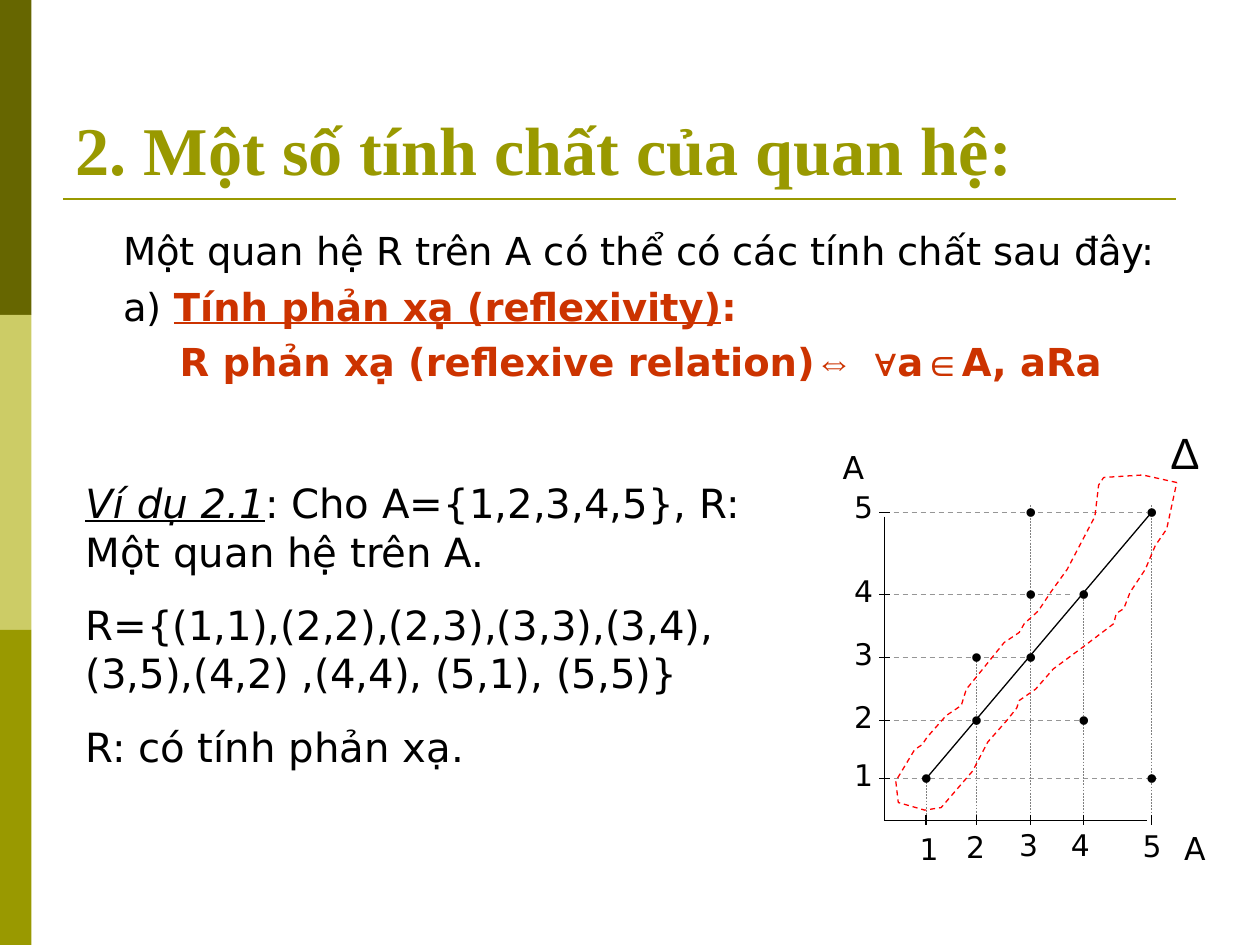
"""Build the slide on reflexive relations with its grid diagram."""
from typing import Any, NamedTuple

from lxml import etree
from pptx import Presentation
from pptx import util as u
from pptx.dml.color import RGBColor
from pptx.enum import dml, shapes, text
from pptx.oxml import ns

COLORS = {"olive": "999900", "dark": "666600", "pale": "CCCC66", "ink": "000000",
          "accent": "CC3300", "row": "969696", "column": "808080", "loop": "FF0000"}
SANS, SYMBOL, SERIF = "DejaVu Sans", "Arial", "Times New Roman"
AXIS_X, AXIS_Y = 7.02, 6.51


class Span(NamedTuple):
    words: str
    font: dict[str, Any] = {}


class Para(NamedTuple):
    spans: list[Span]
    layout: dict[str, Any] = {}
    left: float = 0
    indent: float = 0


class Column(NamedTuple):
    x: float
    guide_top: float
    label_left: float
    label_top: float


class Row(NamedTuple):
    y: float
    guide_right: float
    label_top: float


COLUMNS = [Column(7.35, 6.18, 7.2, 6.54), Column(7.75, 5.22, 7.57, 6.53),
           Column(8.18, 4.01, 7.99, 6.51), Column(8.6, 4.68, 8.4, 6.51),
           Column(9.14, 4.01, 8.97, 6.52)]
ROWS = [Row(6.18, 9.18, 5.96), Row(5.72, 8.6, 5.5), Row(5.22, 8.18, 5),
        Row(4.72, 8.52, 4.5), Row(4.07, 9.1, 3.83)]
RELATION = [(1, 1), (2, 2), (2, 3), (3, 3), (3, 4), (3, 5), (4, 2), (4, 4), (5, 1), (5, 5)]
LOOP = [(9.34, 3.83), (9.07, 3.77), (8.76, 3.79), (8.72, 3.85), (8.69, 4.1), (8.47, 4.52),
        (8.34, 4.7), (8.24, 4.85), (8.13, 4.95), (8.09, 5.02), (7.97, 5.1), (7.72, 5.41),
        (7.67, 5.47), (7.63, 5.6), (7.51, 5.68), (7.36, 5.85), (7.32, 5.91), (7.26, 5.95),
        (7.11, 6.2), (7.13, 6.37), (7.34, 6.43), (7.47, 6.41), (7.72, 6.12), (7.84, 5.89),
        (7.99, 5.72), (8.07, 5.62), (8.09, 5.56), (8.22, 5.47), (8.36, 5.31), (8.59, 5.14),
        (8.84, 4.95), (8.86, 4.87), (8.92, 4.83), (8.97, 4.7), (9.09, 4.52), (9.17, 4.33),
        (9.26, 4.2)]


def rgb(name: str) -> RGBColor:
    """Return a named palette colour."""
    return RGBColor.from_string(COLORS[name])


def apply(target: Any, values: dict[str, Any]) -> None:
    """Set every attribute given in values."""
    for name, value in values.items():
        setattr(target, name, value)


def fill_text(frame: Any, paras: list[Para], base: dict[str, Any], color: str = "ink") -> None:
    """Write formatted paragraphs into a text frame."""
    for index, item in enumerate(paras):
        para = frame.paragraphs[0] if index == 0 else frame.add_paragraph()
        apply(para, item.layout)
        properties = para._p.get_or_add_pPr()
        properties.set("marL", str(u.Inches(item.left)))
        properties.set("indent", str(u.Inches(item.indent)))
        for part in item.spans:
            span = para.add_run()
            span.text = part.words
            font = {**base, **part.font}
            span.font.color.rgb = rgb(font.pop("tint", color))
            apply(span.font, font)


def add_text(page: Any, left: float, top: float, width: float, height: float,
             paras: list[Para], base: dict[str, Any], wrap: bool = True) -> None:
    """Add a text box holding the paragraphs."""
    box = page.shapes.add_textbox(*map(u.Inches, (left, top, width, height)))
    fit = text.MSO_AUTO_SIZE.NONE if wrap else text.MSO_AUTO_SIZE.SHAPE_TO_FIT_TEXT
    apply(box.text_frame, {"word_wrap": wrap, "auto_size": fit})
    fill_text(box.text_frame, paras, base)


def add_label(page: Any, left: float, top: float, words: str, size: float = 17,
              name: str = SANS, width: float = 0.33, height: float = 0.39) -> None:
    """Add a short unwrapped label of the diagram."""
    add_text(page, left, top, width, height, [Para([Span(words)])],
             {"size": u.Pt(size), "name": name}, wrap=False)


def add_line(page: Any, start: tuple[float, float], end: tuple[float, float],
             color: str = "ink", width: float = 0.75, dashed: bool = False) -> None:
    """Add a straight line without a shadow."""
    line = page.shapes.add_connector(shapes.MSO_CONNECTOR.STRAIGHT,
                                     *map(u.Inches, (*start, *end)))
    line.line.color.rgb = rgb(color)
    line.line.width = u.Pt(width)
    if dashed:
        line.line.dash_style = dml.MSO_LINE.DASH
    etree.SubElement(line._element.spPr, ns.qn("a:effectLst"))


def add_loop(page: Any) -> None:
    """Add the dashed outline around the diagonal."""
    first, *rest = [tuple(map(u.Inches, point)) for point in LOOP]
    builder = page.shapes.build_freeform(*first)
    builder.add_line_segments(rest, close=True)
    loop = builder.convert_to_shape()
    loop.shadow.inherit = False
    loop.fill.background()
    loop.line.color.rgb = rgb("loop")
    apply(loop.line, {"width": u.Pt(0.75), "dash_style": dml.MSO_LINE.DASH})


def add_frame(page: Any) -> None:
    """Add the side bars, the rule and the title."""
    for index, color in enumerate(("dark", "pale", "olive")):
        bar = page.shapes.add_shape(shapes.MSO_SHAPE.RECTANGLE, 0, u.Inches(2.5 * index),
                                    u.Inches(0.25), u.Inches(2.5))
        bar.shadow.inherit = False
        bar.fill.solid()
        bar.fill.fore_color.rgb = rgb(color)
        bar.line.fill.background()
    add_line(page, (0.5, 1.58), (9.33, 1.58), "olive", 1.5)
    title = page.shapes.title
    apply(title, {"left": u.Inches(0.5), "top": u.Inches(0.3),
                  "width": u.Inches(9), "height": u.Inches(1.25)})
    apply(title.text_frame, {"vertical_anchor": text.MSO_ANCHOR.BOTTOM, "word_wrap": True,
                             "auto_size": text.MSO_AUTO_SIZE.NONE})
    fill_text(title.text_frame,
              [Para([Span("2. Một số tính chất của quan hệ:")],
                    {"alignment": text.PP_ALIGN.LEFT})],
              {"size": u.Pt(39), "name": SERIF, "bold": True}, "olive")


def add_body(page: Any) -> None:
    """Add the definition and the worked example."""
    strong = {"bold": True, "tint": "accent"}
    symbol = {**strong, "name": SYMBOL}
    gap = {"space_before": u.Pt(5.5)}
    add_text(page, 0.5, 1.75, 9.17, 1.58, [
        Para([Span("Một quan hệ R trên A có thể có các tính chất sau đây:")], gap, 0.38),
        Para([Span("a) "), Span("Tính phản xạ (reflexivity)", {**strong, "underline": True}),
              Span(":", strong)], gap, 0.38),
        Para([Span("R phản xạ (reflexive relation)", strong), Span("⇔  ∀", symbol),
              Span("a", strong), Span("∈", symbol), Span("A, aRa", strong)],
             {**gap, "alignment": text.PP_ALIGN.CENTER}, 0.38, -0.38),
    ], {"size": u.Pt(22), "name": SANS})
    gap = {"space_before": u.Pt(14.4)}
    add_text(page, 0.58, 3.75, 6, 2.42, [
        Para([Span("Ví dụ 2.1", {"italic": True, "underline": True}),
              Span(": Cho A={1,2,3,4,5}, R: Một quan hệ trên A.")], gap),
        Para([Span("R={(1,1),(2,2),(2,3),(3,3),(3,4), (3,5),(4,2) ,(4,4), (5,1), (5,5)}")], gap),
        Para([Span("R: có tính phản xạ.")], gap),
    ], {"size": u.Pt(23), "name": SANS})


def add_diagram(page: Any) -> None:
    """Add the axes, guides, points and diagonal of the relation."""
    add_line(page, (AXIS_X, 4.1), (AXIS_X, AXIS_Y))
    add_line(page, (AXIS_X, AXIS_Y), (9.1, AXIS_Y))
    add_line(page, (9.6, 5.01), (9.6, 5.01))
    for number, (column, row) in enumerate(zip(COLUMNS, ROWS), 1):
        add_line(page, (column.x, column.guide_top), (column.x, AXIS_Y), "column", 0.25, True)
        add_line(page, (AXIS_X, row.y), (row.guide_right, row.y), "row", dashed=True)
        add_line(page, (column.x, AXIS_Y - 0.04), (column.x, AXIS_Y + 0.04))
        add_line(page, (AXIS_X - 0.04, row.y), (AXIS_X + 0.04, row.y))
        add_label(page, column.label_left, column.label_top, str(number))
        add_label(page, 6.68, row.label_top, str(number))
    add_line(page, (7.35, 6.18), (9.12, 4.09))
    for a, b in RELATION:
        add_label(page, COLUMNS[a - 1].x - 0.14, ROWS[b - 1].y - 0.21, "•", 18, SYMBOL, 0.3, 0.4)
    add_loop(page)
    for left, top in ((9.3, 6.53), (6.59, 3.51)):
        add_label(page, left, top, "A", 18, SANS, 0.36, 0.4)
    add_label(page, 9.19, 3.33, "Δ", 25, SYMBOL, 0.41, 0.52)


def main() -> None:
    """Build and save the deck."""
    deck = Presentation()
    apply(deck, {"slide_width": u.Inches(10), "slide_height": u.Inches(7.5)})
    page = deck.slides.add_slide(deck.slide_layouts.get_by_name("Title Only"))
    add_frame(page)
    add_body(page)
    add_diagram(page)
    deck.save("out.pptx")


if __name__ == "__main__":
    main()
